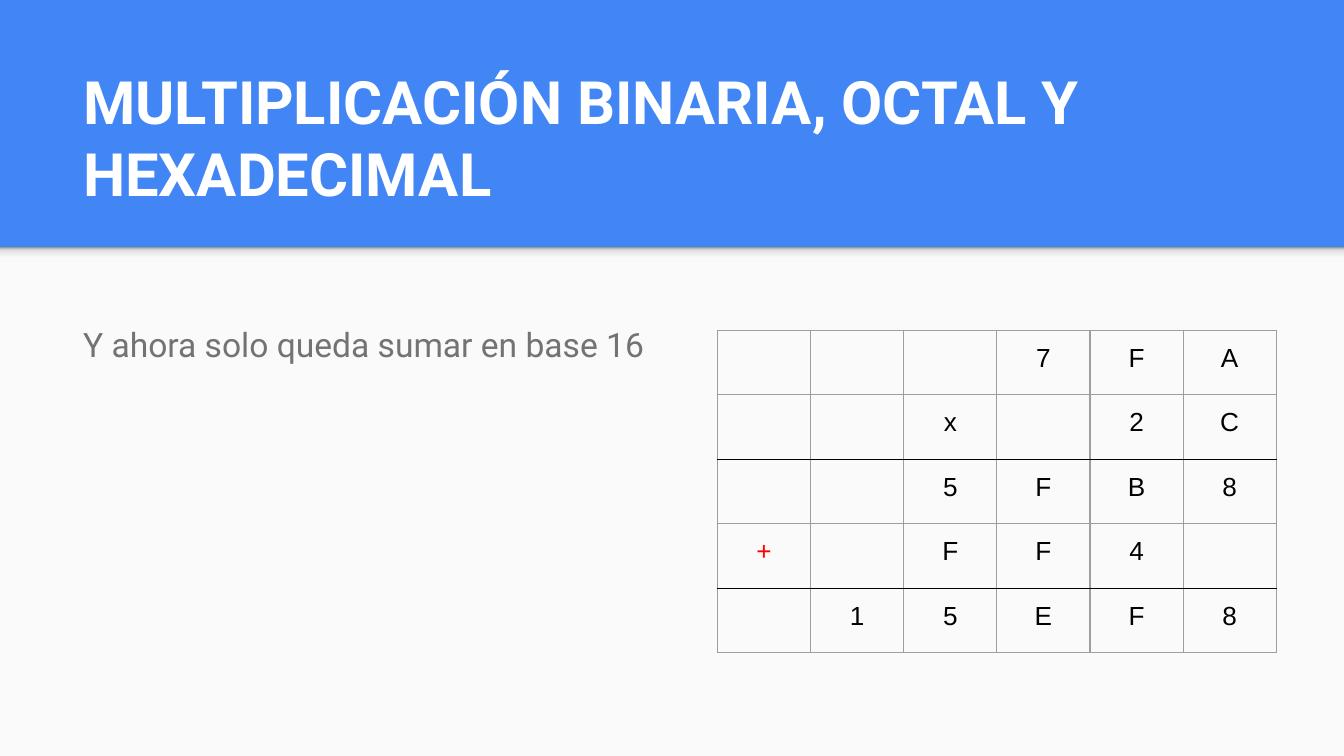
from copy import deepcopy
from pptx import Presentation
from pptx.dml.color import RGBColor
from pptx.enum.shapes import MSO_SHAPE as Shape
from pptx.enum.text import MSO_ANCHOR as Anchor, MSO_AUTO_SIZE as Auto, PP_ALIGN as Align
from pptx.oxml.ns import qn
from pptx.oxml.xmlchemy import OxmlElement as Node
from pptx.util import Cm, Pt

WIDTH, HEIGHT, SPLIT = 25.4, 14.29, 4.67
ROWS = ["   7FA", "  x 2C", "  5FB8", "+ FF4 ", " 15EF8"]
RULED = (2, 4)


def color(code):
    return RGBColor.from_string(code)


def write(frame, text, font="Roboto", size=18, ink="737373", bold=False,
          align=Align.LEFT, space=1):
    par = frame.paragraphs[0]
    par.alignment, par.line_spacing, par.space_before = align, space, Pt(0)
    run = par.add_run()
    run.text = text
    run.font.name, run.font.size, run.font.bold = font, Pt(size), bold
    run.font.color.rgb = color(ink)
    return par


class Deck:
    blue, paper, grid, rule = "4285F4", "FAFAFA", "9E9E9E", "000000"
    pad = Cm(0.25)

    def __init__(self):
        self.file = Presentation()
        self.file.slide_width, self.file.slide_height = Cm(WIDTH), Cm(HEIGHT)
        self.slide = self.file.slides.add_slide(self.file.slide_layouts[1])
        back = self.slide.background.fill
        back.solid()
        back.fore_color.rgb = color(self.blue)

    def panel(self, *box):
        rect = self.slide.shapes.add_shape(Shape.RECTANGLE, *map(Cm, box))
        rect.shadow.inherit = False
        rect.line.fill.background()
        rect.fill.solid()
        rect.fill.fore_color.rgb = color(self.paper)
        return rect

    def shade(self, stops, *box):
        rect = self.panel(*box)
        rect.fill.gradient()
        rect.fill.gradient_angle = 90
        ramp = next(rect._element.iter(qn("a:gsLst")))
        while len(ramp) < len(stops):
            ramp.append(deepcopy(ramp[0]))
        for stop, (place, code) in zip(rect.fill.gradient_stops, stops):
            stop.position = place
            stop.color.rgb = color(code)

    def holder(self, index, text, box, anchor, **style):
        item = self.slide.placeholders[index]
        item.left, item.top, item.width, item.height = map(Cm, box)
        self.slide.shapes._spTree.append(item._element)
        frame = item.text_frame
        frame.word_wrap, frame.auto_size = True, Auto.NONE
        frame.vertical_anchor = anchor
        frame.margin_left = frame.margin_right = self.pad
        frame.margin_top = frame.margin_bottom = self.pad
        props = write(frame, text, **style)._p.get_or_add_pPr()
        props.set("marL", "0")
        props.set("indent", "0")
        props.append(Node("a:buNone"))

    def edge(self, cell, side, code):
        line = Node(f"a:ln{side}")
        line.set("w", str(Pt(0.75)))
        fill, ink = Node("a:solidFill"), Node("a:srgbClr")
        ink.set("val", code)
        fill.append(ink)
        line.append(fill)
        cell._tc.get_or_add_tcPr().append(line)

    def table(self, rows, left, top, wide, high):
        count = len(rows[0])
        frame = self.slide.shapes.add_table(
            len(rows), count, Cm(left), Cm(top), Cm(wide * count), Cm(high * len(rows)))
        table = frame.table
        table.first_row = table.horz_banding = False
        for col in table.columns:
            col.width = Cm(wide)
        for r, row in enumerate(rows):
            table.rows[r].height = Cm(high)
            for c, sign in enumerate(row):
                self.cell(table.cell(r, c), sign, r)

    def cell(self, cell, sign, row):
        cell.margin_left = cell.margin_right = cell.margin_top = self.pad
        cell.margin_bottom = Cm(0.1)
        above = self.rule if row in RULED else self.grid
        below = self.rule if row + 1 in RULED else self.grid
        for side, code in zip("LRTB", (self.grid, self.grid, above, below)):
            self.edge(cell, side, code)
        cell.fill.background()
        if sign.strip():
            write(cell.text_frame, sign, font="Arial", size=14, align=Align.CENTER,
                  ink="FF0000" if sign == "+" else "000000")


def main():
    deck = Deck()
    deck.panel(0, SPLIT, WIDTH, HEIGHT - SPLIT)
    deck.shade([(0, "F9F9F9"), (0.36, "F9F9F9"), (0.8, "DEDEDE"), (1, "999999")],
               0, SPLIT, WIDTH, 0.3)
    deck.holder(0, "MULTIPLICACIÓN BINARIA, OCTAL Y HEXADECIMAL",
                (1.32, 2.06, 22.83, 2.13), Anchor.BOTTOM,
                size=32, ink="FFFFFF", bold=True)
    deck.holder(1, "Y ahora solo queda sumar en base 16",
                (1.32, 5.11, 23.11, 8.15), Anchor.TOP, space=2)
    deck.table(ROWS, 13.56, 6.24, 1.76, 1.22)
    deck.file.save("out.pptx")


if __name__ == "__main__":
    main()
